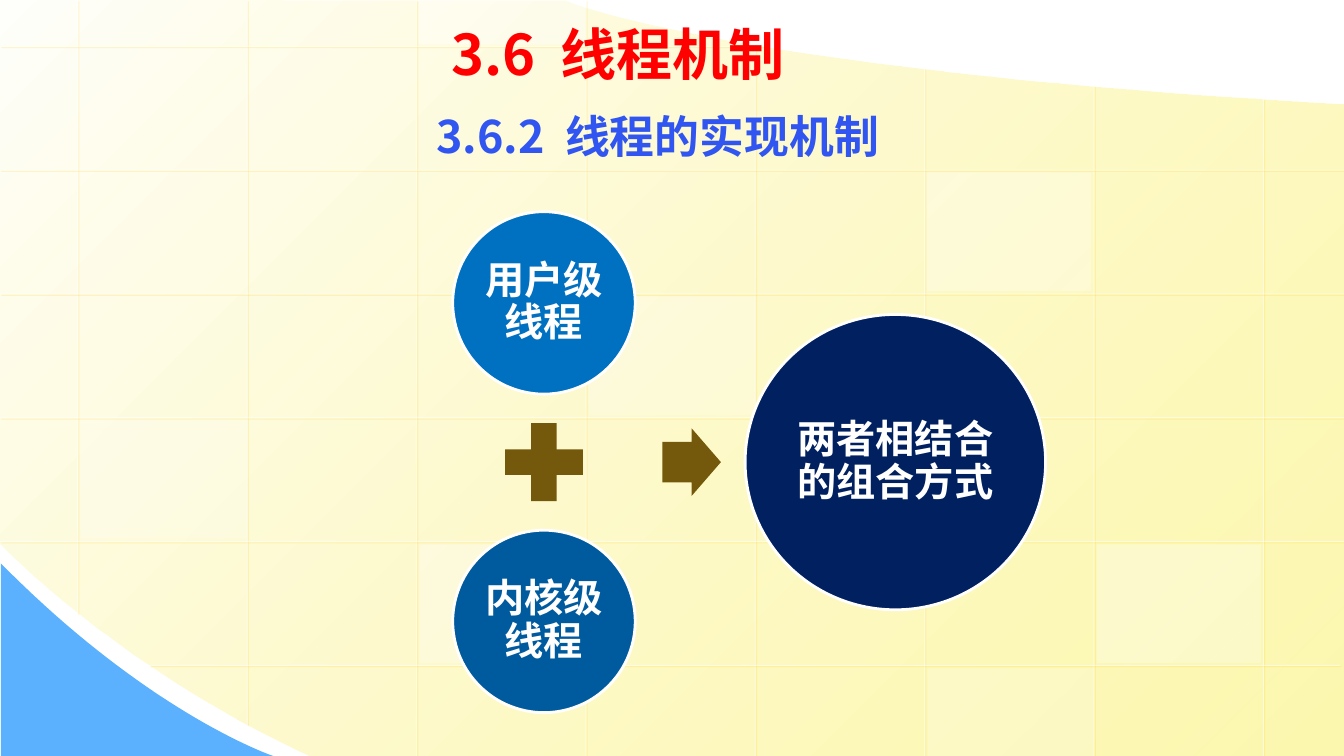
"""Builds the slide on how threads are implemented."""
from lxml import etree
from pptx import Presentation, util as u
from pptx.dml.color import RGBColor
from pptx.enum import shapes as s, text as t
from pptx.oxml.ns import qn

FONT = "Noto Sans CJK SC"
WHITE = "FFFFFF"
BROWN = "74580B"


def tint(fill, tone):
    fill.solid()
    fill.fore_color.rgb = RGBColor.from_string(tone)


def write(par, words, size, tone, track=0):
    run = par.add_run()
    run.text = words
    run.font.size = u.Pt(size)
    run.font.bold = True
    tint(run.font.fill, tone)
    run.font.name = FONT
    props = run.font.fill and run.element.get_or_add_rPr() if hasattr(run, "element") else run._r.get_or_add_rPr()
    etree.SubElement(props, qn("a:ea"), typeface=FONT)
    if track:
        props.set("spc", str(track))


deck = Presentation()
deck.slide_width = u.Inches(13.33)
deck.slide_height = u.Inches(7.5)
slide = deck.slides.add_slide(deck.slide_layouts[6])
parts = slide.shapes

# Each step is an end point, or two control points and an end point.
sheet = [(0, 0), [(5.61, 0.01)], [(5.61, 0.01), (7.15, 0.69), (13.33, 1.04)],
         [(13.33, 7.5)], [(3.07, 7.5)], [(1.15, 6.61), (0, 5.39), (0, 5.39)]]
corner = [(0.01, 5.59), [(0.01, 7.5)], [(2.71, 7.5)],
          [(2.71, 7.5), (1.49, 7.09), (0.01, 5.59)]]
areas = []
for start, *steps in (sheet, corner):
    pts = [start]
    for step in steps:
        if len(step) == 1:
            pts += step
            continue
        knots = [pts[-1], *step]
        for i in range(1, 41):
            k = i / 40
            mix = ((1 - k) ** 3, 3 * k * (1 - k) ** 2, 3 * k * k * (1 - k), k ** 3)
            pts.append(tuple(sum(m * p[a] for m, p in zip(mix, knots)) for a in (0, 1)))
    pen = parts.build_freeform(u.Inches(start[0]), u.Inches(start[1]))
    pen.add_line_segments([(u.Inches(x), u.Inches(y)) for x, y in pts[1:]])
    area = pen.convert_to_shape()
    area.shadow.inherit = False
    area.line.fill.background()
    areas.append(area)

page, wave = areas
tint(wave.fill, "5CB1FE")
page.fill.gradient()
page.fill.gradient_angle = 315
for stop, tone, spot in zip(page.fill.gradient_stops, ("FFFFFB", "FDF58D"), (0, 1)):
    stop.color.rgb = RGBColor.from_string(tone)
    stop.position = spot
last = list(page.element.iter(qn("a:srgbClr")))[-1]
etree.SubElement(last, qn("a:alpha"), val="70000")

tops = [0, 0, 0, 0, 0.43, 0.68, 0.85, 0.98]
ends = [6.09, 7.19] + [7.5] * 6
grid = [(0.77 + 1.68 * i, a, 0.77 + 1.68 * i, b) for i, (a, b) in enumerate(zip(tops, ends))]
spans = [(0, 7.57)] + [(0, 13.33)] * 4 + [(1.48, 13.29)]
grid += [(a, 0.46 + 1.228 * i, b, 0.46 + 1.228 * i) for i, (a, b) in enumerate(spans)]
for ends in grid:
    rule = parts.add_connector(s.MSO_CONNECTOR.STRAIGHT, *map(u.Inches, ends))
    rule.line.width = u.Pt(0.75)
    tint(rule.line.fill, WHITE)
    tone = next(rule.element.iter(qn("a:srgbClr")))
    etree.SubElement(tone, qn("a:alpha"), val="50000")
    glow = etree.SubElement(rule.element.spPr, qn("a:effectLst"))
    cast = etree.SubElement(glow, qn("a:outerShdw"), dist="17780", dir="2700000")
    tone = etree.SubElement(cast, qn("a:srgbClr"), val="FFCC00")
    etree.SubElement(tone, qn("a:alpha"), val="34000")

for x, y, w, h, clear in [
    (5.84, 2.94, 1.65, 1.18, 25),
    (10.88, 5.4, 1.63, 1.18, 30),
    (0.8, 4.16, 1.65, 1.18, 20),
    (9.2, 6.63, 1.65, 0.87, 20),
    (4.15, 0, 1.65, 0.44, 40),
    (4.16, 5.4, 1.63, 1.18, 30),
    (9.19, 1.71, 1.63, 1.18, 30),
]:
    tile = parts.add_shape(s.MSO_SHAPE.RECTANGLE, *map(u.Inches, (x, y, w, h)))
    tile.shadow.inherit = False
    tile.line.fill.background()
    tint(tile.fill, WHITE)
    tone = next(tile.element.iter(qn("a:srgbClr")))
    etree.SubElement(tone, qn("a:alpha"), val=str(clear * 1000))

for spot, mark, words, size, tone, anchor in [
    ((4.38, 0.14, 3.94, 0.77), "3.6", "线程机制", 40, "FF0000", t.MSO_ANCHOR.TOP),
    ((4.23, 0.99, 5.67, 0.71), "3.6.2", "线程的实现机制", 32, "3055F0", t.MSO_ANCHOR.MIDDLE),
]:
    frame = parts.add_textbox(*map(u.Inches, spot)).text_frame
    frame.word_wrap = True
    frame.vertical_anchor = anchor
    par = frame.paragraphs[0]
    write(par, mark, size, tone)
    write(par, " ", size, tone, round(size * 22.4))
    write(par, words, size, tone)

for spot, tone, words in [
    ((4.49, 2.1, 1.81, 1.81), "0070C0", "用户级线程"),
    ((4.49, 5.26, 1.81, 1.81), "005A9E", "内核级线程"),
    ((7.39, 3.12, 2.98, 2.93), "002060", "两者相结合的组合方式"),
]:
    disc = parts.add_shape(s.MSO_SHAPE.OVAL, *map(u.Inches, spot))
    disc.shadow.inherit = False
    tint(disc.fill, tone)
    tint(disc.line.fill, WHITE)
    disc.line.width = u.Pt(2)
    frame = disc.text_frame
    frame.word_wrap = True
    frame.vertical_anchor = t.MSO_ANCHOR.MIDDLE
    frame.margin_left = frame.margin_right = u.Inches(0.03)
    frame.margin_top = frame.margin_bottom = u.Inches(0.03)
    par = frame.paragraphs[0]
    par.alignment = t.PP_ALIGN.CENTER
    par.line_spacing = 0.9
    write(par, words, 28, WHITE)

for kind, spot, bends in [
    (s.MSO_SHAPE.MATH_PLUS, (4.87, 4.06, 1.05, 1.05), [0.24]),
    (s.MSO_SHAPE.RIGHT_ARROW, (6.57, 4.25, 0.58, 0.67), [0.6, 0.5]),
]:
    sign = parts.add_shape(kind, *map(u.Inches, spot))
    sign.shadow.inherit = False
    sign.line.fill.background()
    tint(sign.fill, BROWN)
    for i, bend in enumerate(bends):
        sign.adjustments[i] = bend

deck.save("out.pptx")
